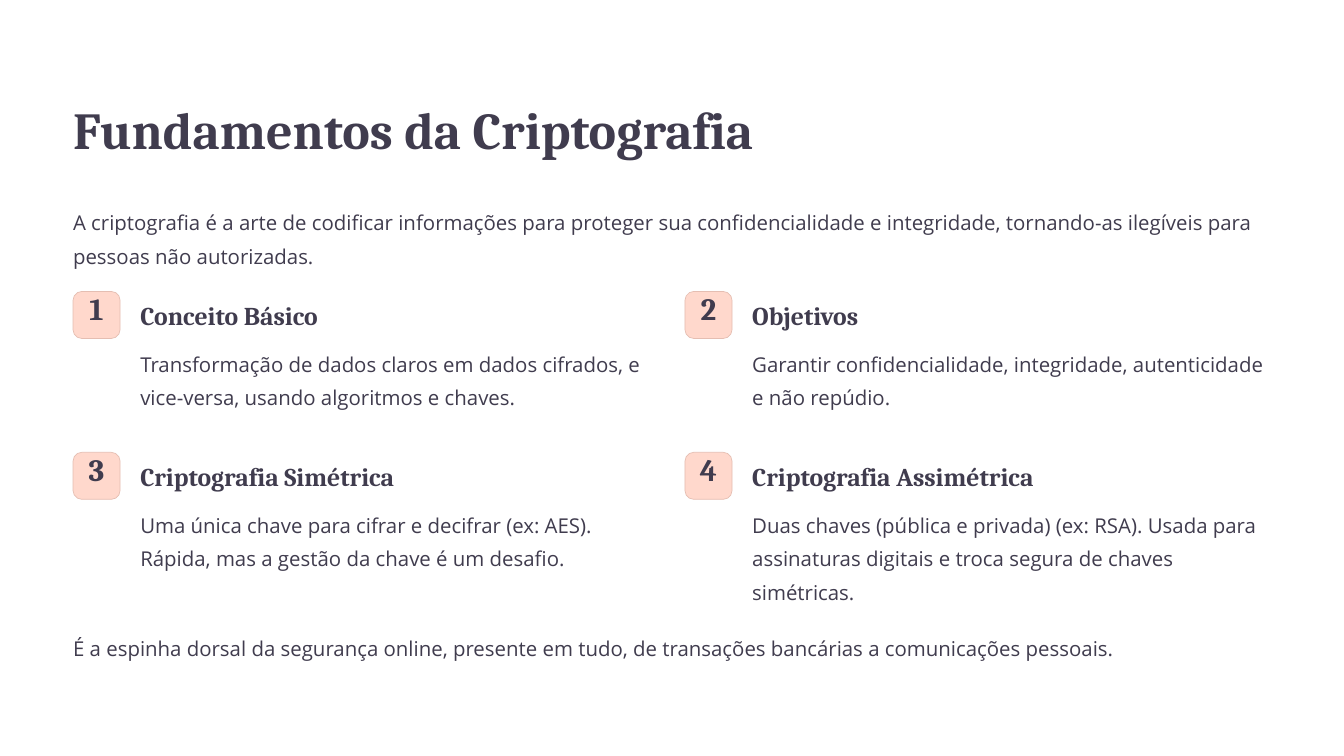
from dataclasses import dataclass

from pptx import Presentation
from pptx.dml.color import RGBColor
from pptx.enum.shapes import MSO_SHAPE
from pptx.enum.text import MSO_ANCHOR, PP_ALIGN
from pptx.util import Inches, Pt


@dataclass(frozen=True)
class TextStyle:
    font: str
    size: float
    line_height: float
    bold: bool = False


@dataclass(frozen=True)
class Theme:
    ink: RGBColor = RGBColor.from_string("403C4E")
    badge_fill: RGBColor = RGBColor.from_string("FFD8CC")
    badge_line: RGBColor = RGBColor.from_string("E5BEB2")
    title: TextStyle = TextStyle("Cambria", 44.5, 55.5, True)
    number: TextStyle = TextStyle("Cambria", 26.5, 26.5, True)
    heading: TextStyle = TextStyle("Cambria", 22, 27.5, True)
    body: TextStyle = TextStyle("Open Sans", 17.5, 28.5)


THEME = Theme()

MARGIN = 0.87
CONTENT_WIDTH = 14.26
GRID_TOP = 3.47
COLUMN_PITCH = 7.285
ROW_PITCH = 1.915
TOPIC_WIDTH = 6.97
BADGE_SIZE = 0.56
TEXT_INDENT = 0.8

# Heading, heading width, description, description height
TOPICS = [
    ("Conceito Básico", 3.1,
     "Transformação de dados claros em dados cifrados, e vice-versa, "
     "usando algoritmos e chaves.", 0.79),
    ("Objetivos", 3.1,
     "Garantir confidencialidade, integridade, autenticidade e não repúdio.", 0.79),
    ("Criptografia Simétrica", 3.4,
     "Uma única chave para cifrar e decifrar (ex: AES). "
     "Rápida, mas a gestão da chave é um desafio.", 0.79),
    ("Criptografia Assimétrica", 3.76,
     "Duas chaves (pública e privada) (ex: RSA). Usada para assinaturas "
     "digitais e troca segura de chaves simétricas.", 1.19),
]


def add_text(slide, box, text, style, wrap=False, align=PP_ALIGN.LEFT):
    frame = slide.shapes.add_textbox(*map(Inches, box)).text_frame
    frame.margin_left = frame.margin_right = 0
    frame.margin_top = frame.margin_bottom = 0
    frame.vertical_anchor = MSO_ANCHOR.TOP
    frame.word_wrap = wrap
    paragraph = frame.paragraphs[0]
    paragraph.alignment = align
    paragraph.line_spacing = Pt(style.line_height)
    run = paragraph.add_run()
    run.text = text
    run.font.name = style.font
    run.font.size = Pt(style.size)
    run.font.bold = style.bold
    run.font.color.rgb = THEME.ink


def add_badge(slide, left, top, number):
    badge = slide.shapes.add_shape(
        MSO_SHAPE.ROUNDED_RECTANGLE,
        *map(Inches, (left, top, BADGE_SIZE, BADGE_SIZE)))
    badge.adjustments[0] = 0.187
    badge.shadow.inherit = False
    badge.fill.solid()
    badge.fill.fore_color.rgb = THEME.badge_fill
    badge.line.color.rgb = THEME.badge_line
    badge.line.width = Pt(0.6)
    number_width = 0.37
    number_left = left + (BADGE_SIZE - number_width) / 2
    add_text(slide, (number_left, top + 0.05, number_width, 0.47),
             str(number), THEME.number, align=PP_ALIGN.CENTER)


def add_topic(slide, left, top, number, topic):
    heading, heading_width, description, description_height = topic
    text_left = left + TEXT_INDENT
    add_badge(slide, left, top, number)
    add_text(slide, (text_left, top + 0.09, heading_width, 0.39),
             heading, THEME.heading)
    add_text(slide, (text_left, top + 0.62, TOPIC_WIDTH - TEXT_INDENT, description_height),
             description, THEME.body, wrap=True)


def add_topic_grid(slide, left, top):
    for index, topic in enumerate(TOPICS):
        row, column = divmod(index, 2)
        add_topic(slide, left + column * COLUMN_PITCH, top + row * ROW_PITCH,
                  index + 1, topic)


def add_fundamentals_slide(presentation):
    slide = presentation.slides.add_slide(presentation.slide_layouts[6])
    add_text(slide, (MARGIN, 1.13, 8.97, 0.78),
             "Fundamentos da Criptografia", THEME.title)
    add_text(slide, (MARGIN, 2.4, CONTENT_WIDTH, 0.79),
             "A criptografia é a arte de codificar informações para proteger sua "
             "confidencialidade e integridade, tornando-as ilegíveis para pessoas "
             "não autorizadas.", THEME.body, wrap=True)
    add_topic_grid(slide, MARGIN, GRID_TOP)
    add_text(slide, (MARGIN, 7.47, CONTENT_WIDTH, 0.4),
             "É a espinha dorsal da segurança online, presente em tudo, de "
             "transações bancárias a comunicações pessoais.", THEME.body)


def main():
    presentation = Presentation()
    presentation.slide_width = Inches(16)
    presentation.slide_height = Inches(9)
    add_fundamentals_slide(presentation)
    presentation.save("out.pptx")


if __name__ == "__main__":
    main()
